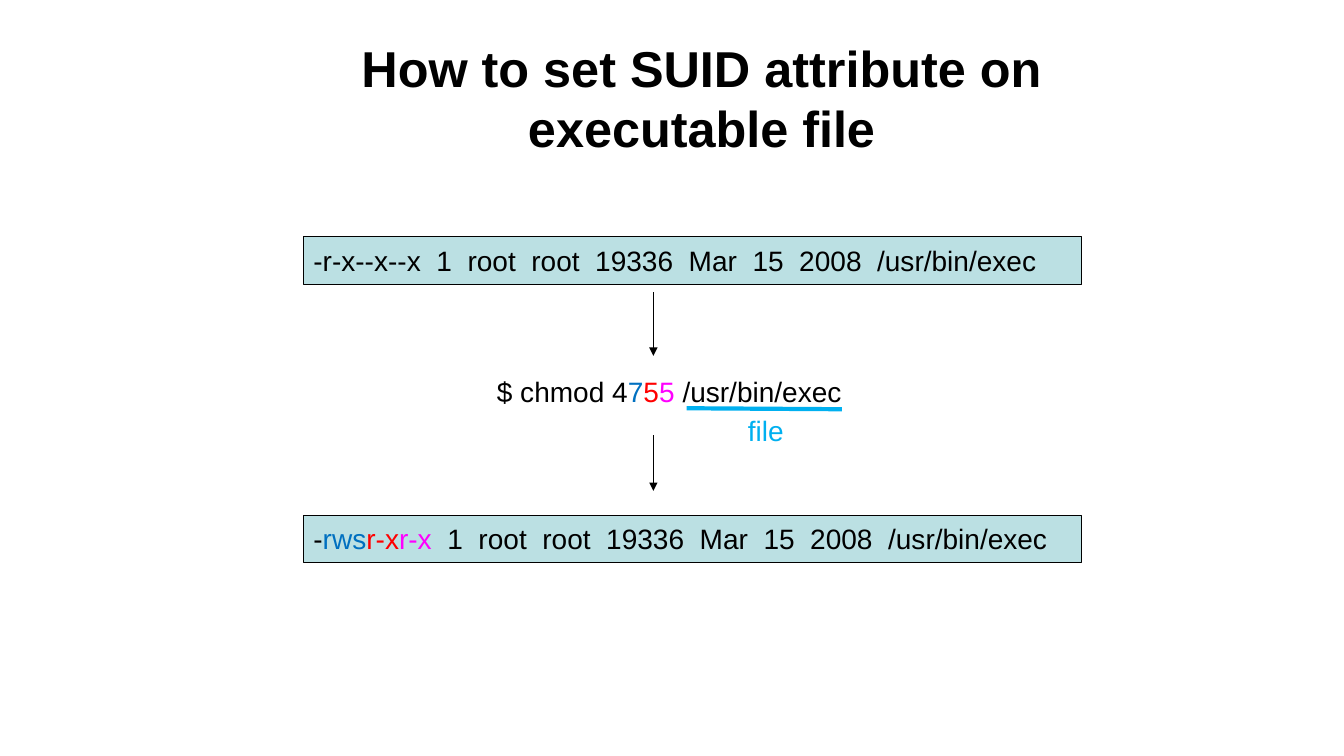
from lxml.etree import SubElement
from pptx import Presentation
from pptx.dml.color import RGBColor
from pptx.enum.shapes import MSO_CONNECTOR as Connector, MSO_SHAPE as Shape
from pptx.enum.text import MSO_ANCHOR as Anchor, PP_ALIGN as Align
from pptx.oxml.ns import qn
from pptx.util import Inches, Pt

BLACK = RGBColor(0x00, 0x00, 0x00)
OWNER_BLUE = RGBColor(0x00, 0x70, 0xC0)
GROUP_RED = RGBColor(0xFF, 0x00, 0x00)
OTHERS_PINK = RGBColor(0xFF, 0x00, 0xFF)
FILE_CYAN = RGBColor(0x00, 0xB0, 0xF0)
LISTING_FILL = RGBColor(0xBB, 0xE0, 0xE3)

TARGET = "/usr/bin/exec"
DETAILS = f" 1  root  root  19336  Mar  15  2008  {TARGET}"
LISTING_LEFT, LISTING_WIDTH, LISTING_HEIGHT = 3.01, 7.72, 0.47
ARROW_X = 6.48


class SlideBuilder:
    """Holds the text style and the slide being built."""

    font = "Arial"
    body_size = 20

    def __init__(self, slide):
        """Start building on the given slide."""
        self.shapes = slide.shapes

    def add_runs(self, frame, runs, size, bold=False, align=Align.LEFT,
                 anchor=Anchor.TOP):
        """Fill a text frame with (text, colour) runs."""
        frame.word_wrap = True
        frame.vertical_anchor = anchor
        paragraph = frame.paragraphs[0]
        paragraph.alignment = align
        for text, colour in runs:
            run = paragraph.add_run()
            run.text = text
            run.font.name = self.font
            run.font.size = Pt(size)
            run.font.bold = bold
            run.font.color.rgb = colour

    def text(self, left, top, width, height, runs, size=body_size, **style):
        """Add a text box."""
        box = self.shapes.add_textbox(*map(Inches, (left, top, width, height)))
        self.add_runs(box.text_frame, runs, size, **style)

    def listing(self, top, runs):
        """Add a filled bar with one line of a file listing."""
        bar = self.shapes.add_shape(
            Shape.RECTANGLE, Inches(LISTING_LEFT), Inches(top),
            Inches(LISTING_WIDTH), Inches(LISTING_HEIGHT))
        bar.shadow.inherit = False
        bar.fill.solid()
        bar.fill.fore_color.rgb = LISTING_FILL
        bar.line.color.rgb = BLACK
        bar.line.width = Pt(0.75)
        self.add_runs(bar.text_frame, runs, self.body_size,
                      anchor=Anchor.MIDDLE)

    def line(self, start, end, colour=BLACK, weight=0.75):
        """Add a straight line and return it."""
        connector = self.shapes.add_connector(
            Connector.STRAIGHT, *map(Inches, (*start, *end)))
        connector.line.color.rgb = colour
        connector.line.width = Pt(weight)
        SubElement(connector.element.spPr, qn("a:effectLst"))
        return connector

    def down_arrow(self, top, bottom):
        """Add an arrow leading to the next step."""
        arrow = self.line((ARROW_X, top), (ARROW_X, bottom))
        outline = arrow.element.spPr.find(qn("a:ln"))
        SubElement(outline, qn("a:tailEnd"), type="triangle")


def main():
    """Build the slide and save it."""
    deck = Presentation()
    deck.slide_width, deck.slide_height = Inches(13.33), Inches(7.5)
    builder = SlideBuilder(deck.slides.add_slide(deck.slide_layouts[6]))

    builder.text(2.46, 0.34, 9, 1.25,
                 [("How to set SUID attribute on executable file", BLACK)],
                 size=36, bold=True, align=Align.CENTER, anchor=Anchor.MIDDLE)

    builder.listing(2.35, [("-r-x--x--x " + DETAILS, BLACK)])
    builder.down_arrow(2.9, 3.53)

    builder.text(4.83, 3.67, 4.2, 0.44, [
        ("$ chmod 4", BLACK), ("7", OWNER_BLUE), ("5", GROUP_RED),
        ("5 ", OTHERS_PINK), (TARGET, BLACK)])
    builder.line((6.81, 4.05), (8.35, 4.06), FILE_CYAN, 3)
    builder.text(7.32, 4.05, 0.56, 0.44, [("file", FILE_CYAN)])
    builder.down_arrow(4.32, 4.87)

    builder.listing(5.11, [
        ("-", BLACK), ("rws", OWNER_BLUE), ("r-x", GROUP_RED),
        ("r-x ", OTHERS_PINK), (DETAILS, BLACK)])

    deck.save("out.pptx")


main()
